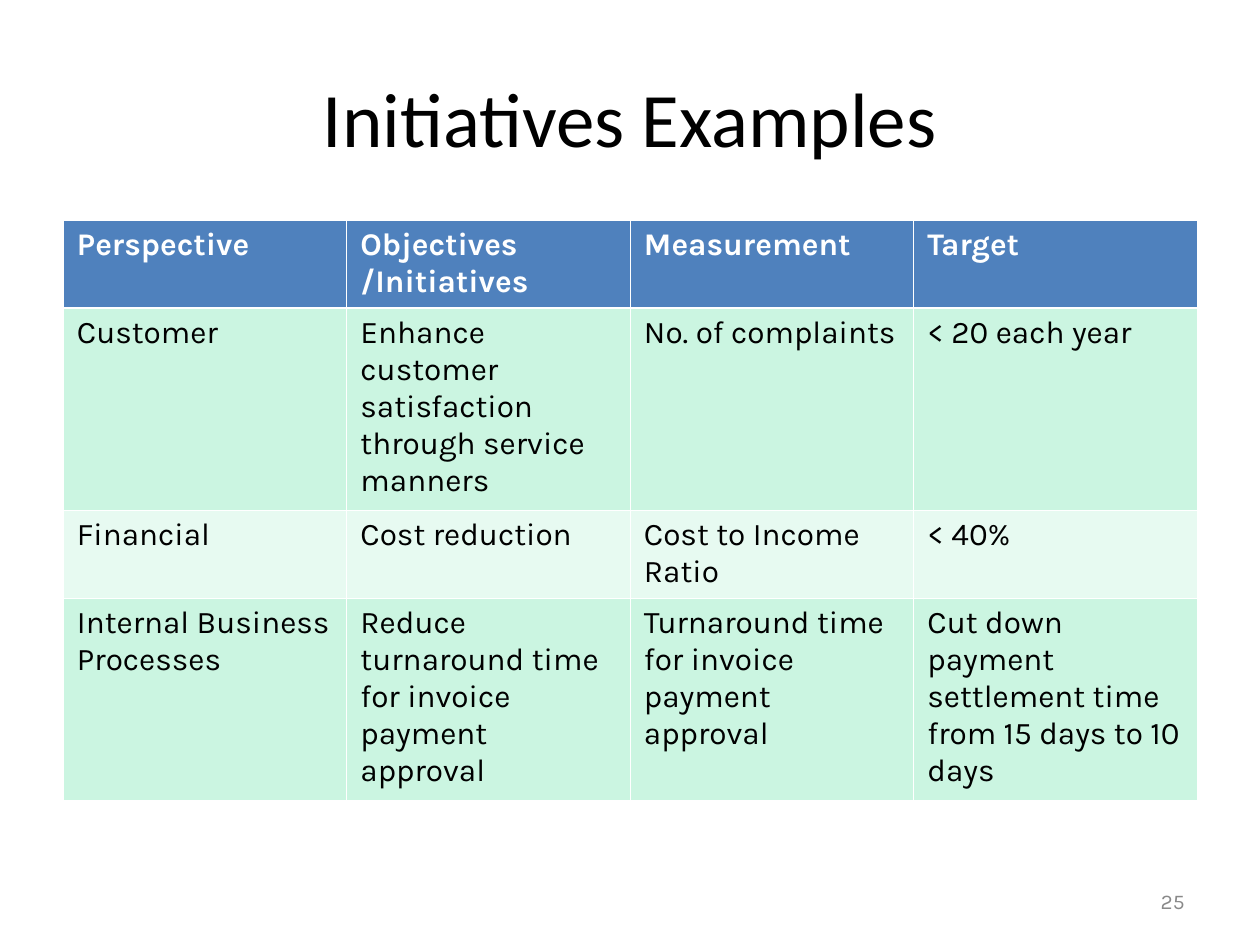
from lxml.etree import SubElement
from pptx import Presentation
from pptx.dml.color import RGBColor
from pptx.enum.text import MSO_ANCHOR, PP_ALIGN
from pptx.oxml.ns import qn
from pptx.util import Emu, Pt

TITLE = "Initiatives Examples"
PAGE_NUMBER = "25"
ROWS = [
    ("Perspective", "Objectives\n/Initiatives", "Measurement", "Target"),
    ("Customer", "Enhance customer satisfaction through service manners",
     "No. of complaints", "< 20 each year"),
    ("Financial", "Cost reduction", "Cost to Income Ratio", "< 40%"),
    ("Internal Business Processes",
     "Reduce turnaround time for invoice payment approval",
     "Turnaround time for invoice payment approval",
     "Cut down payment settlement time from 15 days to 10 days"),
]
ROW_HEIGHTS = (88, 202, 88, 202)
HEADER_FILL, BAND_FILLS = "4F81BD", ("E7FAF1", "CBF5E1")
WHITE, BLACK, GREY = "FFFFFF", "000000", "898989"
THIN, THICK = Pt(0.45), Pt(1.47)

TITLE_BOX = (63, 38, 1134, 157)
TABLE_BOX = (63, 220, 1134, sum(ROW_HEIGHTS))
NUMBER_BOX = (903, 876, 294, 50)


def px(length):
    return Emu(round(length * 914400 / 126))


def color(value):
    return RGBColor.from_string(value)


def style_text(frame, font, size, ink, align, bold=False):
    for para in frame.paragraphs:
        para.alignment = align
        for span in para.runs:
            span.font.name = font
            span.font.size = Pt(size)
            span.font.bold = bold
            span.font.color.rgb = color(ink)


def add_borders(cell, top, bottom):
    properties = cell._tc.get_or_add_tcPr()
    for side, width in (("L", THIN), ("R", THIN), ("T", top), ("B", bottom)):
        line = SubElement(properties, qn(f"a:ln{side}"), w=str(width))
        fill = SubElement(line, qn("a:solidFill"))
        SubElement(fill, qn("a:srgbClr"), val=WHITE)


def add_title(page):
    title = page.shapes.title
    title.left, title.top, title.width, title.height = map(px, TITLE_BOX)
    title.text_frame.text = TITLE
    title.text_frame.vertical_anchor = MSO_ANCHOR.MIDDLE
    style_text(title.text_frame, "Calibri", 44, BLACK, PP_ALIGN.CENTER)


def add_initiatives_table(page):
    columns = len(ROWS[0])
    table = page.shapes.add_table(len(ROWS), columns, *map(px, TABLE_BOX)).table
    for column in table.columns:
        column.width = px(TABLE_BOX[2] / columns)
    for r, (texts, height) in enumerate(zip(ROWS, ROW_HEIGHTS)):
        table.rows[r].height = px(height)
        header = r == 0
        for c, text in enumerate(texts):
            cell = table.cell(r, c)
            add_borders(cell, THICK if r == 1 else THIN, THICK if header else THIN)
            cell.fill.solid()
            cell.fill.fore_color.rgb = color(HEADER_FILL if header else BAND_FILLS[r % 2])
            cell.margin_left = cell.margin_right = px(14)
            cell.text_frame.text = text
            style_text(cell.text_frame, "Karla", 18, WHITE if header else BLACK,
                       PP_ALIGN.LEFT, header)


def add_page_number(page):
    frame = page.shapes.add_textbox(*map(px, NUMBER_BOX)).text_frame
    frame.word_wrap = True
    frame.vertical_anchor = MSO_ANCHOR.MIDDLE
    frame.text = PAGE_NUMBER
    style_text(frame, "Karla", 12, GREY, PP_ALIGN.RIGHT)


def main():
    deck = Presentation()
    deck.slide_width, deck.slide_height = px(1260), px(945)
    page = deck.slides.add_slide(deck.slide_layouts[5])
    add_title(page)
    add_initiatives_table(page)
    add_page_number(page)
    deck.save("out.pptx")


if __name__ == "__main__":
    main()
